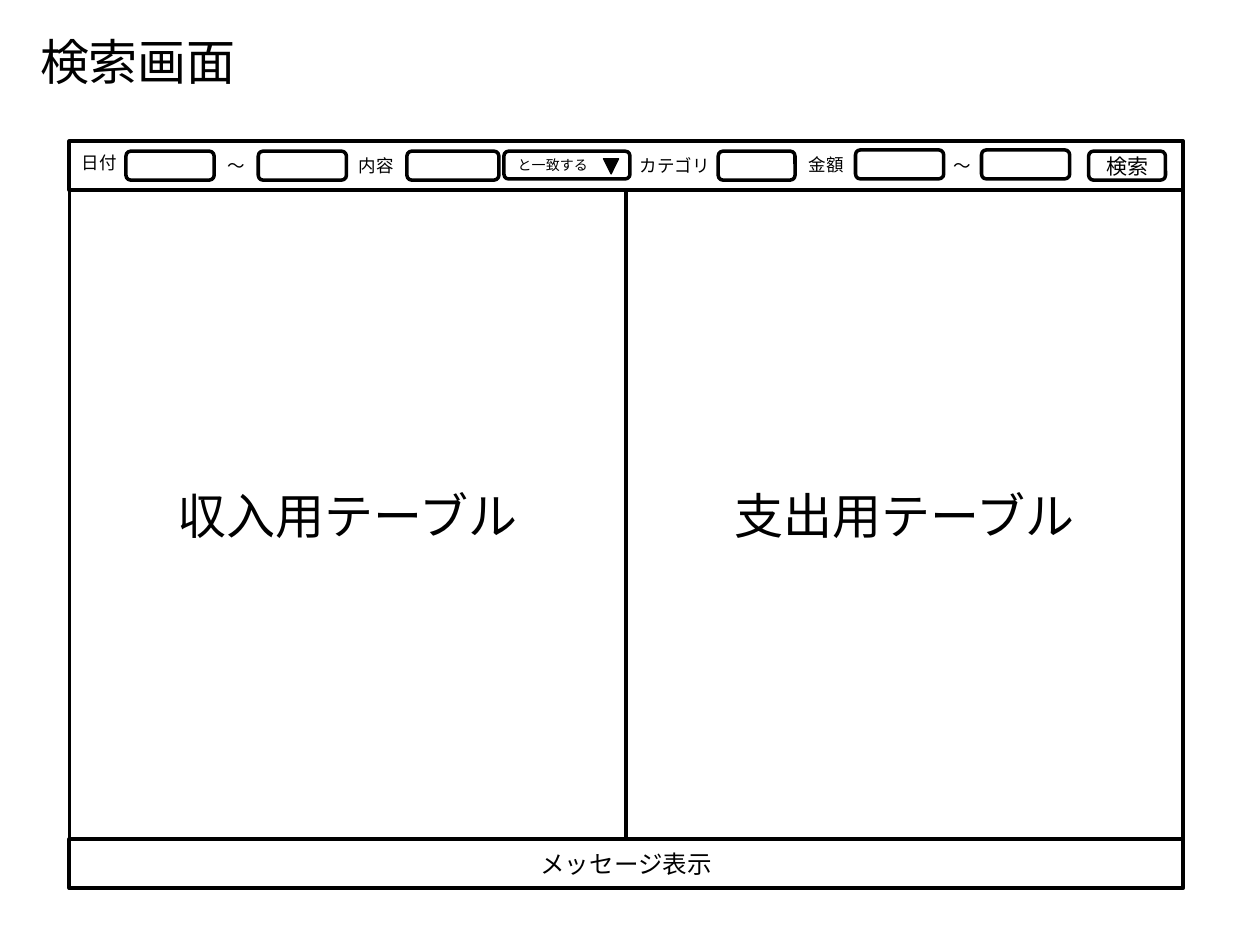
import pptx
import pptx.util
import pptx.dml.color
import pptx.enum.shapes
import pptx.enum.text
import pptx.oxml.ns
from lxml import etree

Inches = pptx.util.Inches
Pt = pptx.util.Pt
MSO_SHAPE = pptx.enum.shapes.MSO_SHAPE
PP_ALIGN = pptx.enum.text.PP_ALIGN
COLORS = {"ink": "000000"}
INK = pptx.dml.color.RGBColor.from_string(COLORS["ink"])
JP_FONT = "Noto Sans CJK JP"

prs = pptx.Presentation()
prs.slide_width, prs.slide_height = Inches(10), Inches(7.5)
s = prs.slides.add_slide(prs.slide_layouts[6])


def write(sp, text, size, font=JP_FONT, align=PP_ALIGN.LEFT):
    """Set one line of text, with the font for Latin and East Asian script."""
    p = sp.text_frame.paragraphs[0]
    p.text = text
    p.alignment = align
    r = p.runs[0]
    r.font.size = Pt(size)
    r.font.name = font
    r.font.color.rgb = INK
    ea = etree.SubElement(r.font._element, pptx.oxml.ns.qn("a:ea"))
    ea.set("typeface", font)


def add_box(kind, x, y, w, h, text="", size=10, align=PP_ALIGN.CENTER):
    sp = s.shapes.add_shape(kind, Inches(x), Inches(y), Inches(w), Inches(h))
    sp.shadow.inherit = False
    sp.fill.background()
    sp.line.color.rgb = INK
    sp.line.width = Pt(2)
    sp.text_frame.vertical_anchor = pptx.enum.text.MSO_ANCHOR.MIDDLE
    if text:
        write(sp, text, size, align=align)
    return sp


# Screen frame: search bar, two tables, message bar
LEFT, TOP, WIDTH, BAR_H, TABLE_H = 0.55, 1.12, 8.84, 0.39, 5.15
TABLE_TOP = TOP + BAR_H
add_box(MSO_SHAPE.RECTANGLE, LEFT, TOP, WIDTH, BAR_H)
for i, name in enumerate(["収入用テーブル", "支出用テーブル"]):
    add_box(MSO_SHAPE.RECTANGLE, LEFT + i * WIDTH / 2, TABLE_TOP,
            WIDTH / 2, TABLE_H, name, 28)
add_box(MSO_SHAPE.RECTANGLE, LEFT, TABLE_TOP + TABLE_H, WIDTH, BAR_H,
        "メッセージ表示", 14)

# Title and search labels
labels = [
    ("検索画面", 0.22, 0.2, 1.77, 0.57, 28, JP_FONT),
    ("日付", 0.55, 1.16, 0.48, 0.27, 10, JP_FONT),
    ("〜", 1.71, 1.18, 0.34, 0.27, 10, "Calibri"),
    ("内容", 2.75, 1.18, 0.48, 0.27, 10, JP_FONT),
    ("カテゴリ", 4.98, 1.18, 0.76, 0.27, 10, JP_FONT),
    ("金額", 6.32, 1.17, 0.48, 0.27, 10, JP_FONT),
    ("〜", 7.47, 1.18, 0.34, 0.27, 10, "Calibri"),
]
for text, x, y, w, h, size, font in labels:
    sp = s.shapes.add_textbox(Inches(x), Inches(y), Inches(w), Inches(h))
    sp.text_frame.word_wrap = False
    sp.text_frame.auto_size = pptx.enum.text.MSO_AUTO_SIZE.SHAPE_TO_FIT_TEXT
    write(sp, text, size, font)

# Input fields: two dates, content, category, two amounts
fields = [(1, 1.2, 0.7), (2.05, 1.2, 0.7), (3.23, 1.2, 0.73),
          (5.7, 1.2, 0.61), (6.79, 1.19, 0.7), (7.79, 1.19, 0.7)]
for x, y, w in fields:
    add_box(MSO_SHAPE.ROUNDED_RECTANGLE, x, y, w, 0.23)

# Match selector with its arrow, and search button
add_box(MSO_SHAPE.ROUNDED_RECTANGLE, 4, 1.2, 1, 0.22, "と一致する", 8, PP_ALIGN.LEFT)
arrow = add_box(MSO_SHAPE.ISOSCELES_TRIANGLE, 4.79, 1.26, 0.12, 0.12)
arrow.rotation = 180
arrow.fill.solid()
arrow.fill.fore_color.rgb = INK
arrow.line.width = Pt(0.75)
add_box(MSO_SHAPE.ROUNDED_RECTANGLE, 8.64, 1.2, 0.61, 0.23, "検索", 12)

prs.save("out.pptx")
